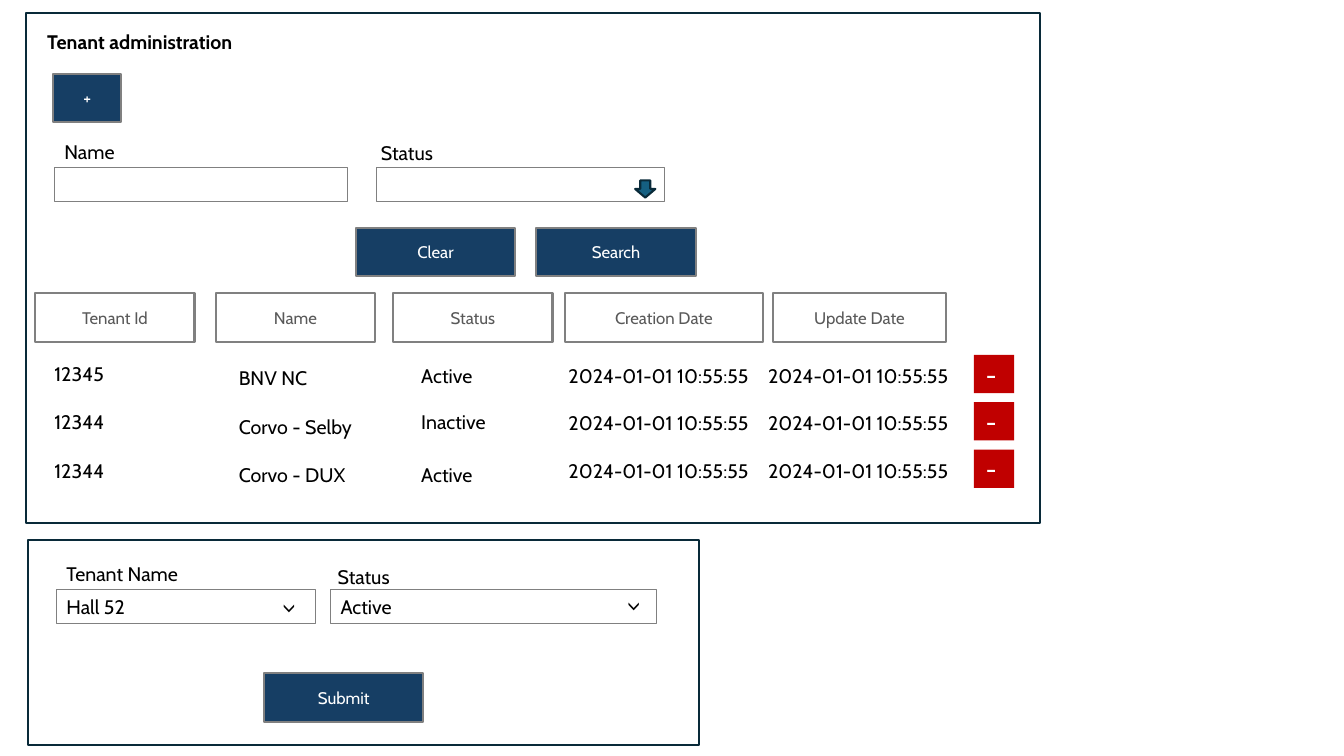
"""Build the tenant administration wireframe slide."""
from dataclasses import dataclass
from typing import Any, NamedTuple, Optional

from pptx import Presentation
from pptx import util as u
from pptx.dml import color
from pptx.enum import shapes, text


@dataclass(frozen=True)
class Theme:
    """Colours, font and sizes in points."""
    font: str = "Cabin"
    white: str = "FFFFFF"
    ink: str = "000000"
    muted: str = "595959"
    frame: str = "092A39"
    border: str = "808080"
    button: str = "163E64"
    arrow: str = "156082"
    remove: str = "C00000"
    body: int = 14
    small: int = 12
    symbol: int = 18
    thick: float = 1.5
    thin: float = 0.75


class Box(NamedTuple):
    """Left, top, width and height in inches."""
    left: float
    top: float
    width: float
    height: float


class Label(NamedTuple):
    """A plain text at a place."""
    words: str
    left: float
    top: float
    width: float


class Button(NamedTuple):
    """A dark button."""
    words: str
    left: float
    top: float
    width: float = 1.58


class Field(NamedTuple):
    """An input field with an optional value."""
    left: float
    top: float
    width: float
    value: str = ""


class Column(NamedTuple):
    """A tenant list column with its header and its cells."""
    header: str
    header_left: float
    header_width: float
    left: float
    width: float
    tops: tuple[float, ...]
    cells: tuple[str, ...]


T = Theme()
BUTTON_HEIGHT = 0.48
LINE_HEIGHT = 0.34
HEADER_TOP = 2.91
DATE_TOPS = (3.56, 4.03, 4.5)
DATES = ("2024-01-01 10:55:55",) * 3

PANELS = (Box(0.26, 0.13, 10.06, 5.06), Box(0.28, 5.36, 6.65, 2.03))
LABELS = (
    Label("Name", 0.54, 1.34, 1.65),
    Label("Status", 3.68, 1.35, 1.65),
    Label("Tenant Name", 0.56, 5.53, 2.01),
    Label("Status", 3.25, 5.56, 1.65),
)
FIELDS = (
    Field(0.54, 1.66, 2.91),
    Field(3.73, 1.66, 2.86),
    Field(0.56, 5.85, 2.57, "Hall 52"),
    Field(3.28, 5.85, 3.23, "Active"),
)
BUTTONS = (
    Button("+", 0.53, 0.73, 0.67),
    Button("Clear", 3.53, 2.26),
    Button("Search", 5.32, 2.26),
    Button("Submit", 2.62, 6.68),
)
COLUMNS = (
    Column("Tenant Id", 0.35, 1.58, 0.44, 1.22, (3.54, 4.02, 4.5),
           ("12345", "12344", "12344")),
    Column("Name", 2.14, 1.58, 2.27, 2.1, (3.58, 4.07, 4.54),
           ("BNV NC", "Corvo - Selby", "Corvo - DUX")),
    Column("Status", 3.9, 1.58, 4.08, 1.34, (3.56, 4.02, 4.54),
           ("Active", "Inactive", "Active")),
    Column("Creation Date", 5.6, 1.97, 5.54, 2.53, DATE_TOPS, DATES),
    Column("Update Date", 7.67, 1.71, 7.52, 2.53, DATE_TOPS, DATES),
)
CHEVRONS = (Box(2.75, 5.86, 0.29, 0.35), Box(6.17, 5.84, 0.29, 0.35))


def write(sp: Any, words: str, *, size: int = T.body, ink: str = T.ink,
          bold: bool = False, centred: bool = False) -> None:
    """Put one formatted line of text in a shape."""
    tf = sp.text_frame
    tf.word_wrap = True
    tf.vertical_anchor = text.MSO_ANCHOR.MIDDLE if centred else text.MSO_ANCHOR.TOP
    p = tf.paragraphs[0]
    p.alignment = text.PP_ALIGN.CENTER if centred else text.PP_ALIGN.LEFT
    r = p.add_run()
    r.text = words
    r.font.name = T.font
    r.font.size = u.Pt(size)
    r.font.bold = bold
    r.font.color.rgb = color.RGBColor.from_string(ink)


def add_label(s: Any, label: Label, bold: bool = False) -> None:
    """Add a text box."""
    box = Box(label.left, label.top, label.width, LINE_HEIGHT)
    write(s.shapes.add_textbox(*map(u.Inches, box)), label.words, bold=bold)


def add_box(s: Any, box: Box, *, fill: Optional[str] = T.white,
            line: Optional[str] = None, weight: float = T.thick,
            kind: Any = shapes.MSO_SHAPE.RECTANGLE) -> Any:
    """Add a flat shape with an optional fill and outline."""
    sp = s.shapes.add_shape(kind, *map(u.Inches, box))
    sp.shadow.inherit = False
    if fill:
        sp.fill.solid()
        sp.fill.fore_color.rgb = color.RGBColor.from_string(fill)
    else:
        sp.fill.background()
    if line:
        sp.line.color.rgb = color.RGBColor.from_string(line)
        sp.line.width = u.Pt(weight)
    else:
        sp.line.fill.background()
    return sp


def add_column(s: Any, column: Column) -> None:
    """Add a column header and the cells below it."""
    box = Box(column.header_left, HEADER_TOP, column.header_width, BUTTON_HEIGHT)
    sp = add_box(s, box, line=T.border)
    write(sp, column.header, size=T.small, ink=T.muted, centred=True)
    for top, cell in zip(column.tops, column.cells):
        add_label(s, Label(cell, column.left, top, column.width))


def main() -> None:
    """Draw and save the slide."""
    prs = Presentation()
    prs.slide_width, prs.slide_height = u.Inches(13.33), u.Inches(7.5)
    s = prs.slides.add_slide(prs.slide_layouts[6])
    for panel in PANELS:
        add_box(s, panel, line=T.frame)
    add_label(s, Label("Tenant administration", 0.37, 0.25, 3.73), bold=True)
    for label in LABELS:
        add_label(s, label)
    for field in FIELDS:
        box = Box(field.left, field.top, field.width, LINE_HEIGHT)
        sp = add_box(s, box, fill=T.white if field.value else None,
                     line=T.border, weight=T.thin)
        if field.value:
            write(sp, field.value)
    add_box(s, Box(6.3, 1.79, 0.2, 0.17), fill=T.arrow, line=T.frame,
            kind=shapes.MSO_SHAPE.DOWN_ARROW)
    for button in BUTTONS:
        box = Box(button.left, button.top, button.width, BUTTON_HEIGHT)
        sp = add_box(s, box, fill=T.button, line=T.border)
        write(sp, button.words, size=T.small, ink=T.white, centred=True)
    for column in COLUMNS:
        add_column(s, column)
    for row in range(3):
        sp = add_box(s, Box(9.66, 3.52 + 0.47 * row, 0.4, 0.38), fill=T.remove)
        write(sp, "- ", size=T.symbol, ink=T.white, centred=True)
    for chevron in CHEVRONS:
        sp = add_box(s, chevron)
        sp.rotation = 90
        write(sp, ">", size=T.symbol, centred=True)
    prs.save("out.pptx")


if __name__ == "__main__":
    main()
